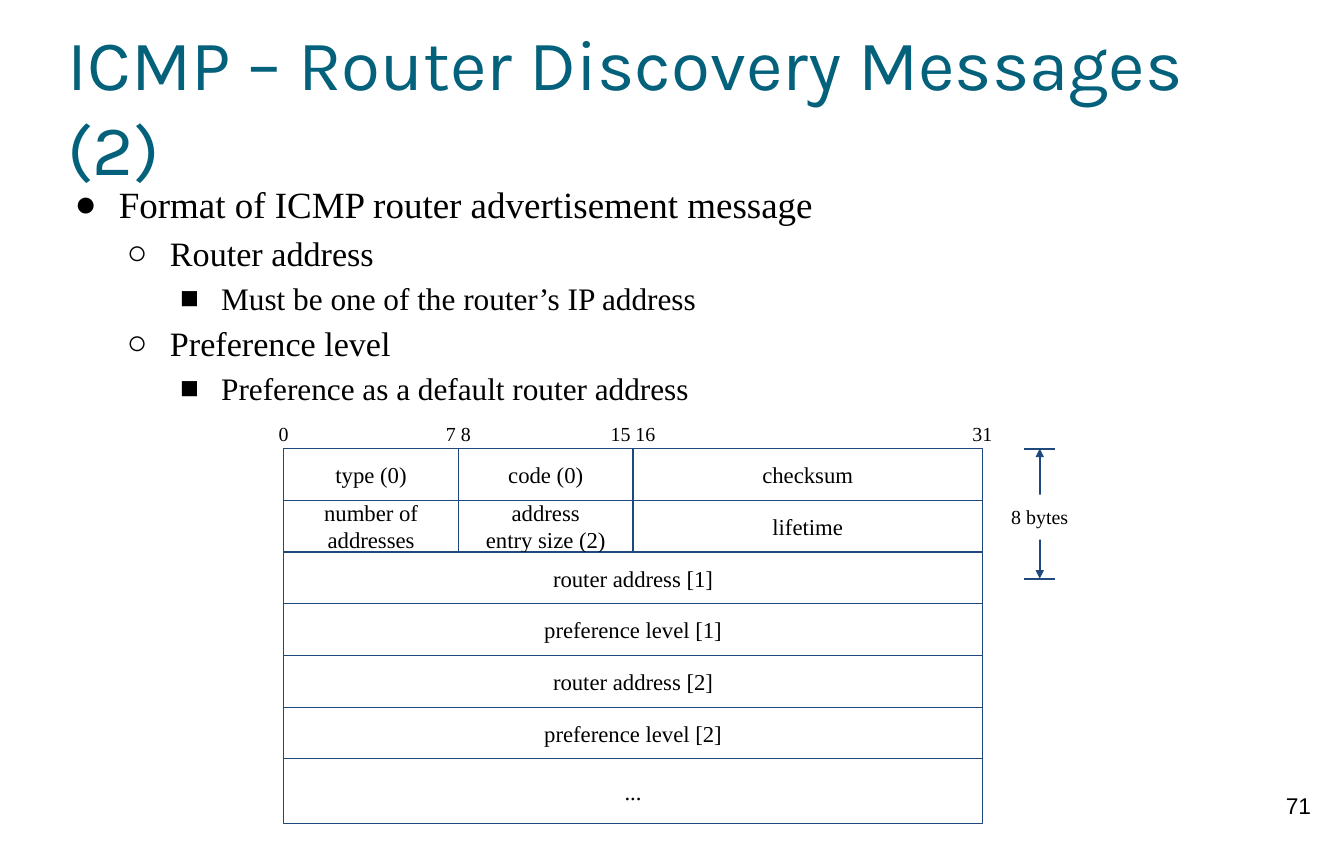
from lxml.etree import SubElement
from pptx import Presentation
from pptx.dml.color import RGBColor
from pptx.enum.shapes import MSO_CONNECTOR, MSO_SHAPE
from pptx.enum.text import MSO_ANCHOR, PP_ALIGN
from pptx.oxml.ns import qn
from pptx.util import Inches, Pt

TITLE = "ICMP – Router Discovery Messages (2)"
PAGE_NUMBER = "71"
OUTLINE = [
    (0, "Format of ICMP router advertisement message"),
    (1, "Router address"),
    (2, "Must be one of the router’s IP address"),
    (1, "Preference level"),
    (2, "Preference as a default router address"),
]
# Per level: bullet, text size, left margin, hanging indent
LEVELS = [("●", 26, 0.5, 0.43), ("○", 24, 1.0, 0.42), ("■", 22, 1.5, 0.4)]

# Each row of the message lists its fields with their widths in bits
MESSAGE = [
    [("type (0)", 8), ("code (0)", 8), ("checksum", 16)],
    [("number of\vaddresses", 8), ("address\ventry size (2)", 8), ("lifetime", 16)],
    [("router address [1]", 32)],
    [("preference level [1]", 32)],
    [("router address [2]", 32)],
    [("preference level [2]", 32)],
    [("...", 32)],
]
BIT_LABELS = [(0, "0"), (8, "7 8"), (16, "15 16"), (32, "31")]
SPAN_LABEL = "8 bytes"

TEAL = RGBColor(0x04, 0x61, 0x7B)
NAVY = RGBColor(0x1F, 0x49, 0x7D)
BLACK = RGBColor(0, 0, 0)
WHITE = RGBColor(0xFF, 0xFF, 0xFF)
SERIF = "Times New Roman"

MESSAGE_LEFT, MESSAGE_TOP, MESSAGE_WIDTH = 2.77, 4.38, 6.82
BIT_WIDTH = MESSAGE_WIDTH / 32
LAST_ROW_TOP, LAST_ROW_HEIGHT = 7.41, 0.63
ROW_HEIGHT = (LAST_ROW_TOP - MESSAGE_TOP) / (len(MESSAGE) - 1)
LABEL_TOP, LABEL_WIDTH, LABEL_HEIGHT = 4.02, 0.66, 0.44
SPAN_X, SPAN_BOTTOM, SPAN_CAP = 10.15, 5.65, 0.3
SPAN_LABEL_WIDTH = 0.88


def write(shape, text, size, font=SERIF, color=BLACK, inset=0.1,
          align=PP_ALIGN.CENTER, anchor=MSO_ANCHOR.TOP):
    frame = shape.text_frame
    frame.word_wrap = True
    frame.vertical_anchor = anchor
    frame.margin_left = frame.margin_right = Inches(inset)
    frame.margin_top = frame.margin_bottom = Inches(inset)
    frame.text = text
    for paragraph in frame.paragraphs:
        paragraph.alignment = align
        for run in paragraph.runs:
            run.font.name = font
            run.font.size = Pt(size)
            run.font.color.rgb = color


def add_text(slide, box, text, size, **style):
    shape = slide.shapes.add_textbox(*map(Inches, box))
    write(shape, text, size, **style)
    return shape


def add_rectangle(slide, box):
    shape = slide.shapes.add_shape(MSO_SHAPE.RECTANGLE, *map(Inches, box))
    shape.shadow.inherit = False
    return shape


def add_line(slide, x1, y1, x2, y2):
    line = slide.shapes.add_connector(
        MSO_CONNECTOR.STRAIGHT, *map(Inches, (x1, y1, x2, y2)))
    line.line.color.rgb = NAVY
    line.line.width = Pt(1.5)
    SubElement(line._element.spPr, qn("a:effectLst"))
    return line


def add_outline(slide):
    body = add_text(slide, (0.66, 1.71, 11.84, 2.23),
                    "\n".join(text for _, text in OUTLINE), 26,
                    inset=0, align=PP_ALIGN.LEFT)
    for paragraph, (level, _) in zip(body.text_frame.paragraphs, OUTLINE):
        bullet, size, margin, hanging = LEVELS[level]
        paragraph.level = level
        paragraph.line_spacing = 1.15
        properties = paragraph._p.get_or_add_pPr()
        properties.set("marL", str(Inches(margin)))
        properties.set("indent", str(-Inches(hanging)))
        bullet_color = SubElement(properties, qn("a:buClr"))
        SubElement(bullet_color, qn("a:srgbClr"), val=str(BLACK))
        SubElement(properties, qn("a:buFont"), typeface=SERIF)
        SubElement(properties, qn("a:buChar"), char=bullet)
        for run in paragraph.runs:
            run.font.size = Pt(size)


def add_message(slide):
    for row, fields in enumerate(MESSAGE):
        top = MESSAGE_TOP + row * ROW_HEIGHT
        height = LAST_ROW_HEIGHT if fields is MESSAGE[-1] else ROW_HEIGHT
        left = MESSAGE_LEFT
        for text, bits in fields:
            width = bits * BIT_WIDTH
            field = add_rectangle(slide, (left, top, width, height))
            field.fill.background()
            field.line.color.rgb = NAVY
            field.line.width = Pt(0.75)
            write(field, text, 16, anchor=MSO_ANCHOR.MIDDLE)
            left += width
    for bit, text in BIT_LABELS:
        left = MESSAGE_LEFT + bit * BIT_WIDTH - LABEL_WIDTH / 2
        add_text(slide, (left, LABEL_TOP, LABEL_WIDTH, LABEL_HEIGHT), text, 14)


def add_span(slide):
    """Draw the double arrow that measures the repeated bytes."""
    for y in (MESSAGE_TOP, SPAN_BOTTOM):
        add_line(slide, SPAN_X - SPAN_CAP / 2, y, SPAN_X + SPAN_CAP / 2, y)
    arrow = add_line(slide, SPAN_X, MESSAGE_TOP, SPAN_X, SPAN_BOTTOM)
    stroke = arrow.line._get_or_add_ln()
    for end in ("a:headEnd", "a:tailEnd"):
        SubElement(stroke, qn(end), type="triangle")
    label = add_rectangle(slide, (SPAN_X - SPAN_LABEL_WIDTH / 2, 4.83,
                                  SPAN_LABEL_WIDTH, LABEL_HEIGHT))
    label.fill.solid()
    label.fill.fore_color.rgb = WHITE
    label.line.fill.background()
    write(label, SPAN_LABEL, 14)


def main():
    deck = Presentation()
    deck.slide_width, deck.slide_height = Inches(13.12), Inches(8.27)
    slide = deck.slides.add_slide(deck.slide_layouts[6])
    add_text(slide, (12.28, 7.63, 0.79, 0.63), PAGE_NUMBER, 16, font="Arial")
    add_text(slide, (0.66, 0.33, 11.81, 1.38), TITLE, 50, font="Karla",
             color=TEAL, inset=0, align=PP_ALIGN.LEFT, anchor=MSO_ANCHOR.MIDDLE)
    add_outline(slide)
    add_message(slide)
    add_span(slide)
    deck.save("out.pptx")


if __name__ == "__main__":
    main()
